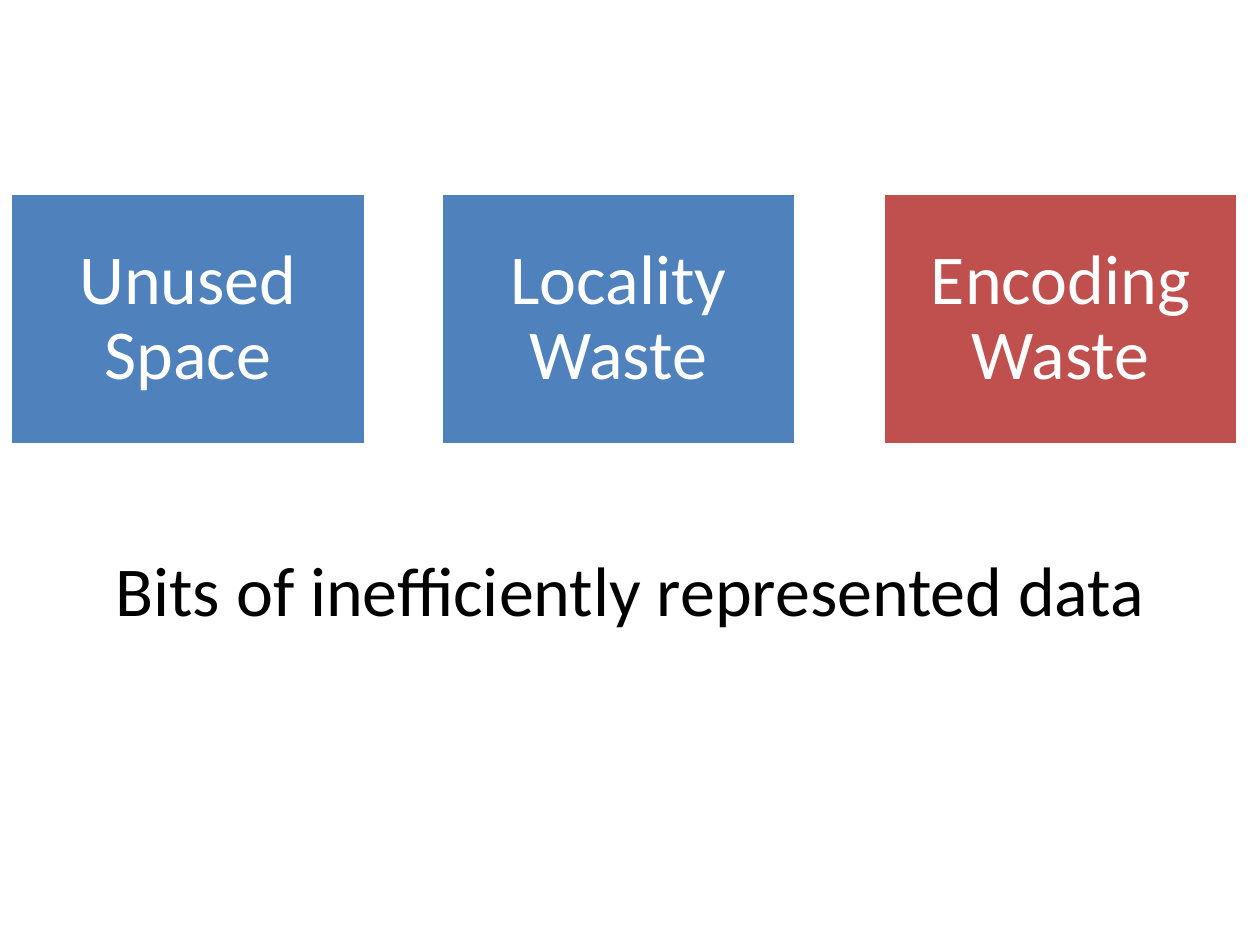
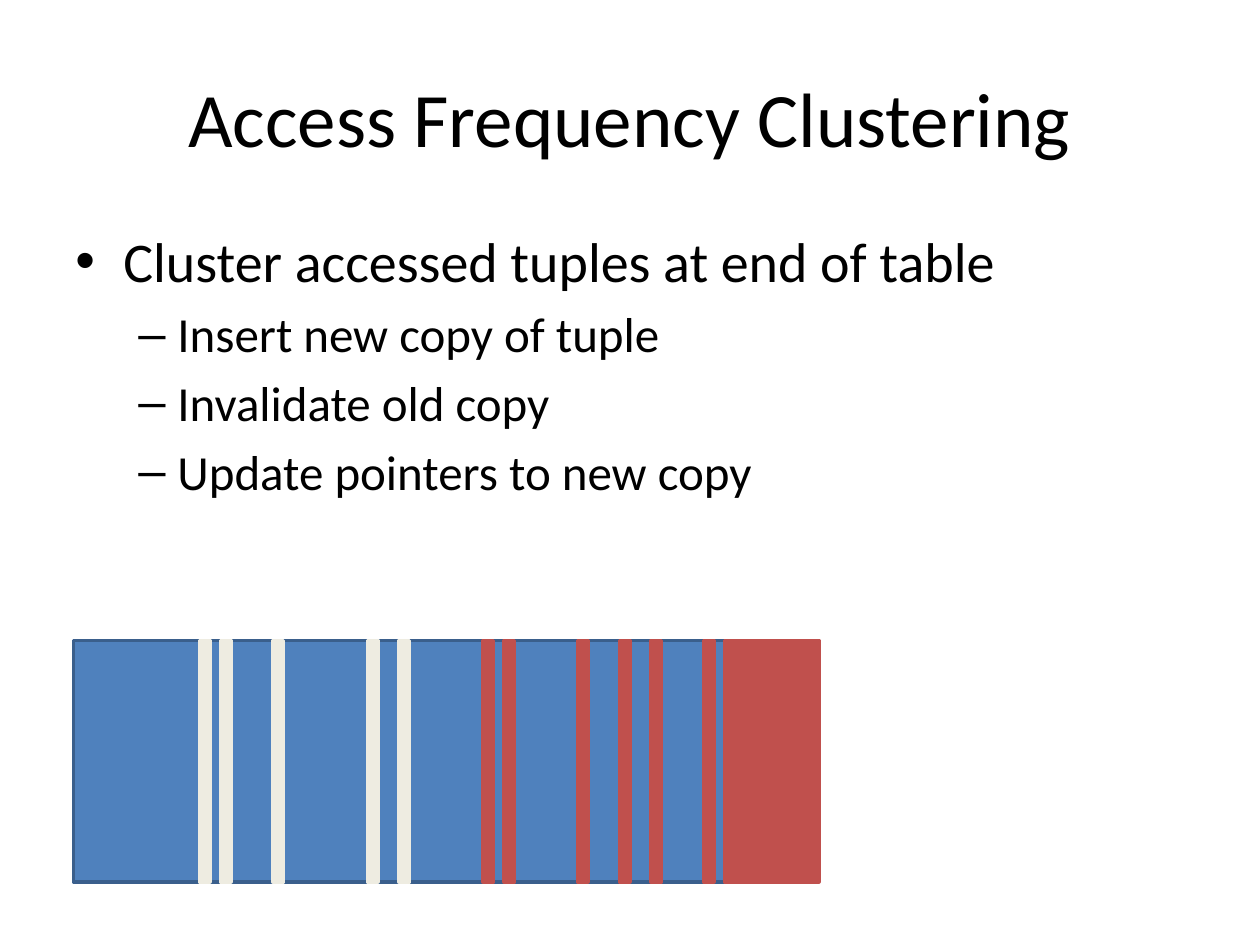
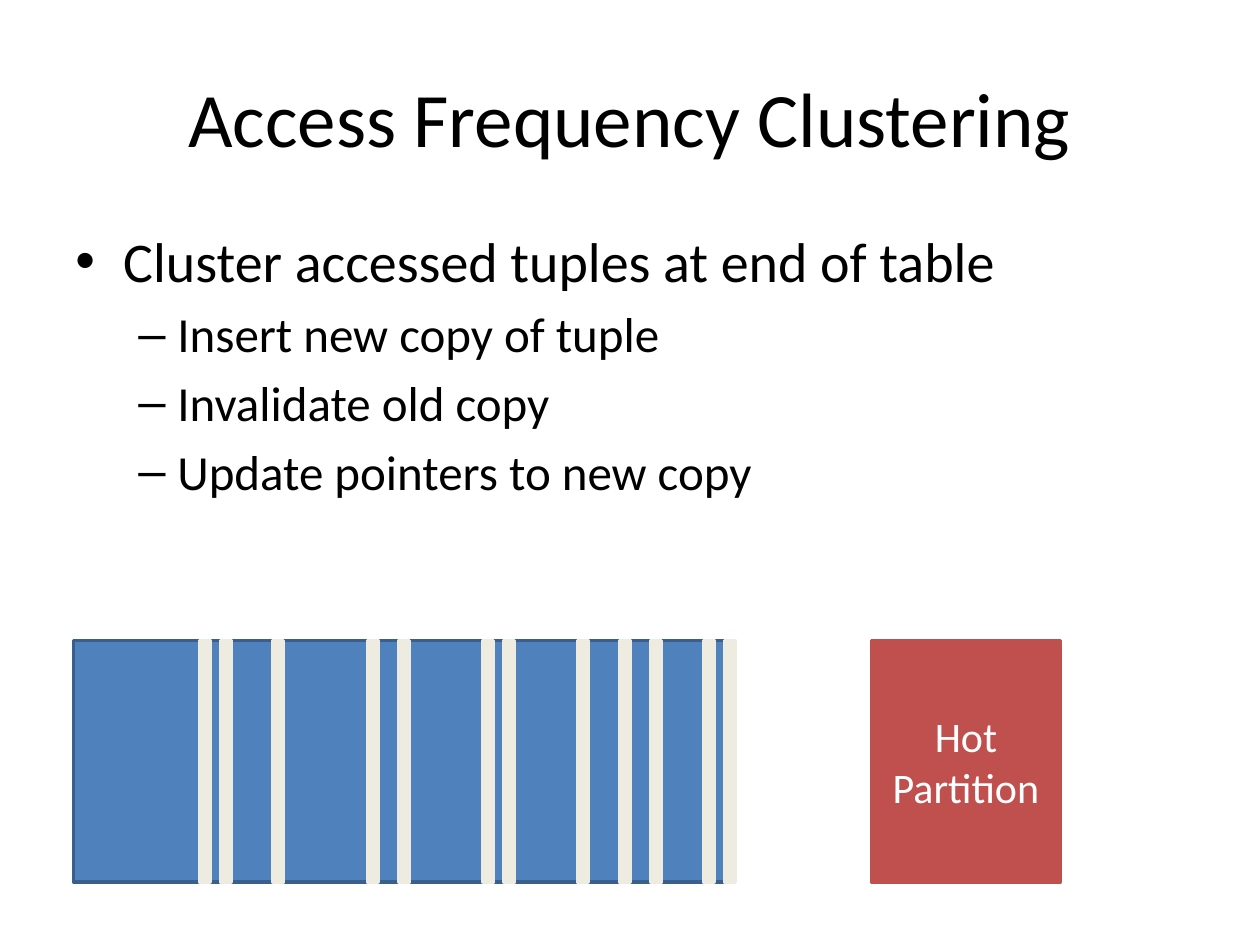
from dataclasses import dataclass
from lxml.etree import SubElement
from pptx import Presentation
from pptx.dml.color import RGBColor
from pptx.enum.shapes import MSO_SHAPE
from pptx.enum.text import MSO_ANCHOR, PP_ALIGN
from pptx.oxml.ns import qn
from pptx.util import Inches, Pt


@dataclass(frozen=True)
class Theme:
    font: str = "Calibri"
    blue: str = "4F81BD"
    edge: str = "3A5F8C"
    red: str = "C0504D"
    cream: str = "EEECE1"
    white: str = "FFFFFF"
    black: str = "000000"
    title: int = 44
    large: int = 40
    body: int = 32
    sub: int = 28
    label: int = 24
    line: int = 2


THEME = Theme()
WIDE, HIGH = 120, 90  # slide grid, twelve cells to the inch
ONLY, BLANK = 5, 6  # layout indexes

WASTE = [
    (1, "Unused Space", THEME.blue),
    (42, "Locality Waste", THEME.blue),
    (84.1, "Encoding Waste", THEME.red),
]
POINTS = [
    (0, "Cluster accessed tuples at end of table"),
    (1, "Insert new copy of tuple"),
    (1, "Invalidate old copy"),
    (1, "Update pointers to new copy"),
]
# Bullet sign, left margin in inches and text size of each level
LEVELS = [("•", 0.38, 0.38, THEME.body), ("–", 0.81, 0.31, THEME.sub)]

# Columns of the tuples, counted from the table's left side
COLD = [12, 14, 19, 28, 31]
HOT = [39, 41, 48, 52, 55, 60, 62]
TABLE = (7, 61, 62, 23)


def cells(*box):
    return [Inches(n / 12) for n in box]


def style(para, size, color, align=PP_ALIGN.CENTER):
    para.alignment = align
    for run in para.runs:
        font = run.font
        font.name, font.size = THEME.font, Pt(size)
        font.color.rgb = RGBColor.from_string(color)


def block(slide, box, fill, edge=None, text="", size=THEME.label):
    """Draw a filled rectangle with an optional centred label."""
    shape = slide.shapes.add_shape(MSO_SHAPE.RECTANGLE, *cells(*box))
    shape.shadow.inherit = False
    shape.fill.solid()
    shape.fill.fore_color.rgb = RGBColor.from_string(fill)
    shape.line.color.rgb = RGBColor.from_string(edge or fill)
    shape.line.width = Pt(THEME.line)
    if text:
        frame = shape.text_frame
        frame.text, frame.word_wrap = text, True
        frame.vertical_anchor = MSO_ANCHOR.MIDDLE
        style(frame.paragraphs[0], size, THEME.white)
    return shape


def note(slide, box):
    frame = slide.shapes.add_textbox(*cells(*box)).text_frame
    frame.word_wrap = True
    return frame


def head(slide, text):
    title = slide.shapes.title
    title.left, title.top, title.width, title.height = cells(6, 3.6, 108, 15)
    title.text_frame.text = text
    title.text_frame.vertical_anchor = MSO_ANCHOR.MIDDLE
    style(title.text_frame.paragraphs[0], THEME.title, THEME.black)


def bullets(slide, box, points):
    frame = note(slide, box)
    for i, (level, text) in enumerate(points):
        sign, left, hang, size = LEVELS[level]
        para = frame.add_paragraph() if i else frame.paragraphs[0]
        para.text, para.level = text, level
        if i:
            para.space_before = Pt(size * 0.2)
        props = para._p.get_or_add_pPr()
        props.set("marL", str(Inches(left)))
        props.set("indent", str(-Inches(hang)))
        SubElement(props, qn("a:buFont"), typeface="Arial")
        SubElement(props, qn("a:buChar"), char=sign)
        style(para, size, THEME.black, PP_ALIGN.LEFT)


def strip(slide, box, marks):
    """Draw the table with its tuples, as (columns, colour) groups."""
    left, top, _, high = box
    block(slide, box, THEME.blue, THEME.edge)
    for columns, color in marks:
        for col in columns:
            block(slide, (left + col, top, 1, high), color)


def kinds(deck):
    """Three kinds of waste with a caption."""
    slide = deck.slides.add_slide(deck.slide_layouts[BLANK])
    for left, text, color in WASTE:
        box = (left, 18.4, 33.8, 24)
        frame = block(slide, box, color, THEME.white, text, THEME.large).text_frame
        frame.margin_left = frame.margin_right = Inches(0.17)
        frame.margin_top = frame.margin_bottom = Inches(0.17)
        frame.paragraphs[0].line_spacing = 0.9
    frame = note(slide, (6, 51.5, WIDE - 12, 10))
    frame.text = "Bits of inefficiently represented data"
    style(frame.paragraphs[0], THEME.large, THEME.black)


def cluster(deck, width, marks, hot, text=""):
    """Bullets over the table, with the hot block at hot = (column, width)."""
    slide = deck.slides.add_slide(deck.slide_layouts[ONLY])
    head(slide, "Access Frequency Clustering")
    bullets(slide, (6, 21, width, 59.4), POINTS)
    strip(slide, TABLE, marks)
    left, wide = hot
    block(slide, (left, TABLE[1], wide, TABLE[3]), THEME.red, text=text)


def main():
    deck = Presentation()
    deck.slide_width, deck.slide_height = cells(WIDE, HIGH)
    kinds(deck)
    cluster(deck, 111, [(COLD, THEME.cream), (HOT, THEME.red)], (70, 8))
    cluster(deck, 114, [(COLD + HOT, THEME.cream)], (83, 18), "Hot Partition")
    deck.save("out.pptx")


if __name__ == "__main__":
    main()
